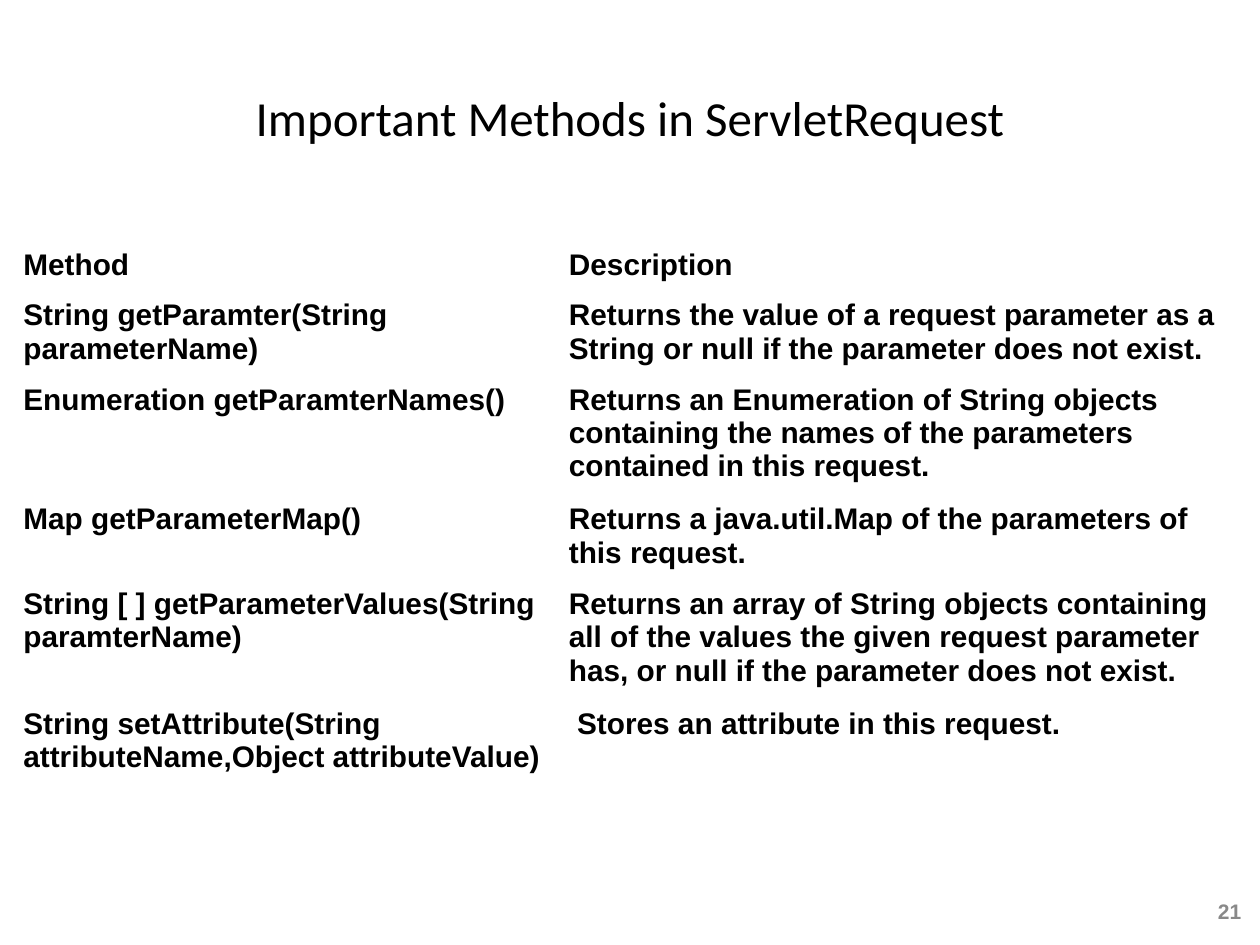
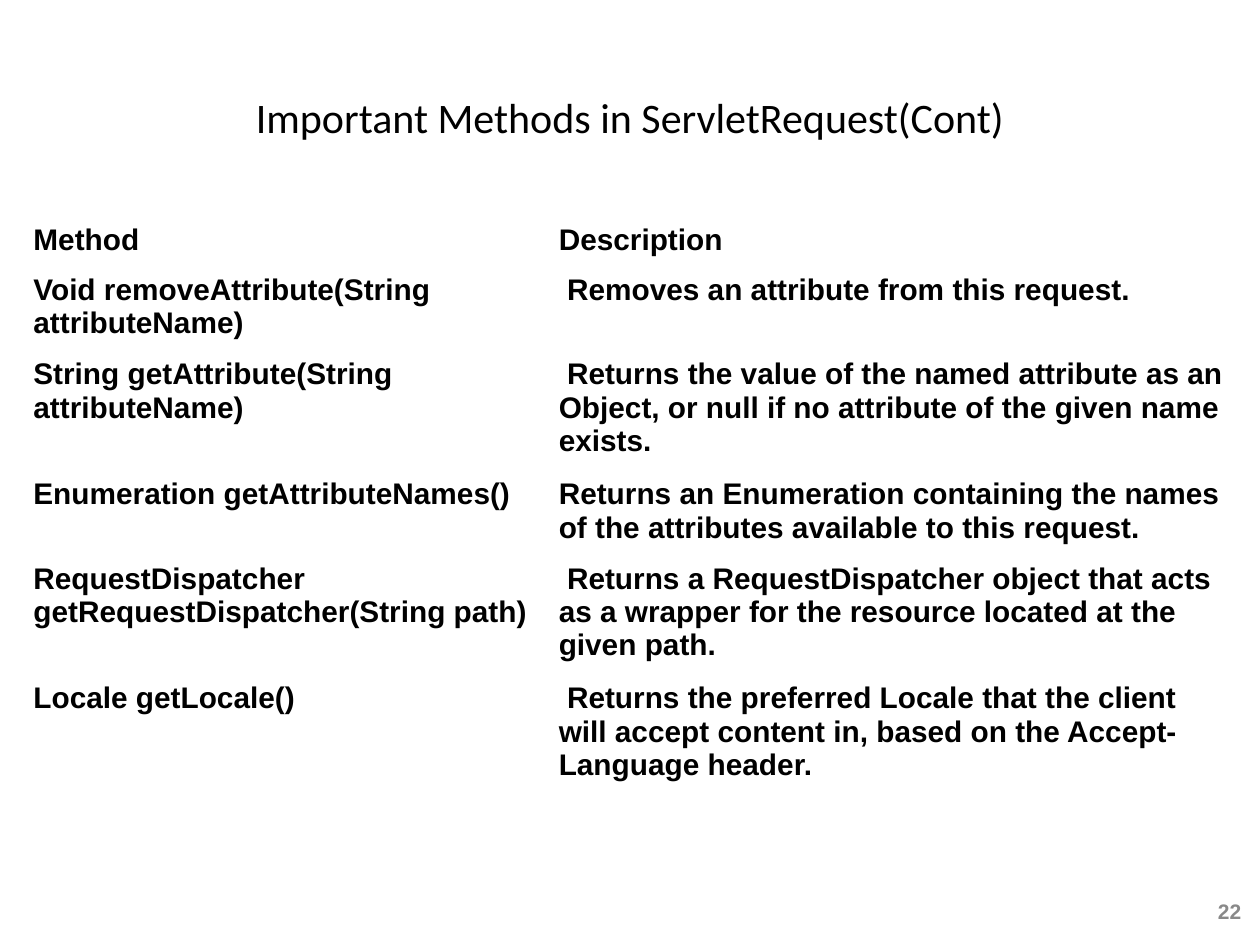
from dataclasses import dataclass

from pptx import Presentation
from pptx.dml.color import RGBColor
from pptx.enum.text import MSO_ANCHOR, PP_ALIGN
from pptx.util import Inches, Pt

LEFT, CENTER, RIGHT = PP_ALIGN.LEFT, PP_ALIGN.CENTER, PP_ALIGN.RIGHT
MIDDLE = MSO_ANCHOR.MIDDLE

HEADER = ("Method", "Description", 1)
SLIDES = [
    {
        "title": "Important Methods in ServletRequest",
        "title_size": 28,
        "number": 21,
        "top": 1.92,
        "cols": (4.33, 5.5),
        "methods": [
            ("String getParamter(String parameterName)",
             "Returns the value of a request parameter as a String or null if the "
             "parameter does not exist.", 2),
            ("Enumeration getParamterNames()",
             "Returns an Enumeration of String objects containing the names of the "
             "parameters contained in this request.", 3),
            ("Map getParameterMap()",
             "Returns a java.util.Map of the parameters of this request.", 2),
            ("String [ ] getParameterValues(String paramterName)",
             "Returns an array of String objects containing all of the values the given "
             "request parameter has, or null if the parameter does not exist.", 3),
            ("String setAttribute(String attributeName,Object attributeValue)",
             " Stores an attribute in this request.", 2),
        ],
    },
    {
        "title": "Important Methods in ServletRequest(Cont)",
        "title_size": 24,
        "number": 22,
        "top": 1.72,
        "cols": (4.17, 5.5),
        "methods": [
            ("Void removeAttribute(String attributeName)",
             " Removes an attribute from this request.", 2),
            ("String getAttribute(String attributeName)",
             " Returns the value of the named attribute as an Object, or null if no "
             "attribute of the given name exists.", 3),
            ("Enumeration getAttributeNames()",
             "Returns an Enumeration containing the names of the attributes available "
             "to this request.", 2),
            ("RequestDispatcher getRequestDispatcher(String path)",
             " Returns a RequestDispatcher object that acts as a wrapper for the "
             "resource located at the given path.", 3),
            ("Locale getLocale()",
             " Returns the preferred Locale that the client will accept content in, "
             "based on the Accept-Language header.", 3),
        ],
    },
]


@dataclass(frozen=True)
class Theme:
    title_font: str = "Calibri"
    body_font: str = "Arial"
    text: RGBColor = RGBColor.from_string("000000")
    muted: RGBColor = RGBColor.from_string("898989")
    body_size: int = 17
    number_size: int = 12


THEME = Theme()
SLIDE_W, SLIDE_H = 10, 7.5
ROW_HEIGHTS = {1: 0.4, 2: 0.67, 3: 0.95}


def write(tf, text, font, size, color, bold, align):
    tf.text = text
    p = tf.paragraphs[0]
    p.alignment = align
    r = p.runs[0]
    r.font.name = font
    r.font.size = Pt(size)
    r.font.color.rgb = color
    r.font.bold = bold


def add_text(s, box, *style):
    tf = s.shapes.add_textbox(*map(Inches, box)).text_frame
    tf.word_wrap = True
    tf.vertical_anchor = MIDDLE
    write(tf, *style)


def add_methods(s, top, cols, methods):
    rows = [HEADER, *methods]
    heights = [ROW_HEIGHTS[lines] for *_, lines in rows]
    width = sum(cols)
    box = ((SLIDE_W - width) / 2, top, width, sum(heights))
    table = s.shapes.add_table(len(rows), len(cols), *map(Inches, box)).table
    table.first_row = table.horz_banding = False
    for column, col_width in zip(table.columns, cols):
        column.width = Inches(col_width)
    for row, height, (*texts, _) in zip(table.rows, heights, rows):
        row.height = Inches(height)
        for cell, text in zip(row.cells, texts):
            cell.fill.background()
            write(cell.text_frame, text, THEME.body_font, THEME.body_size,
                  THEME.text, True, LEFT)


def main():
    prs = Presentation()
    prs.slide_width, prs.slide_height = Inches(SLIDE_W), Inches(SLIDE_H)
    for page in SLIDES:
        s = prs.slides.add_slide(prs.slide_layouts[6])
        add_text(s, (0.5, 0.3, 9, 1.25), page["title"], THEME.title_font,
                 page["title_size"], THEME.text, False, CENTER)
        add_text(s, (9.46, 7.06, 0.49, 0.35), str(page["number"]), THEME.body_font,
                 THEME.number_size, THEME.muted, True, RIGHT)
        add_methods(s, page["top"], page["cols"], page["methods"])
    prs.save("out.pptx")


if __name__ == "__main__":
    main()
